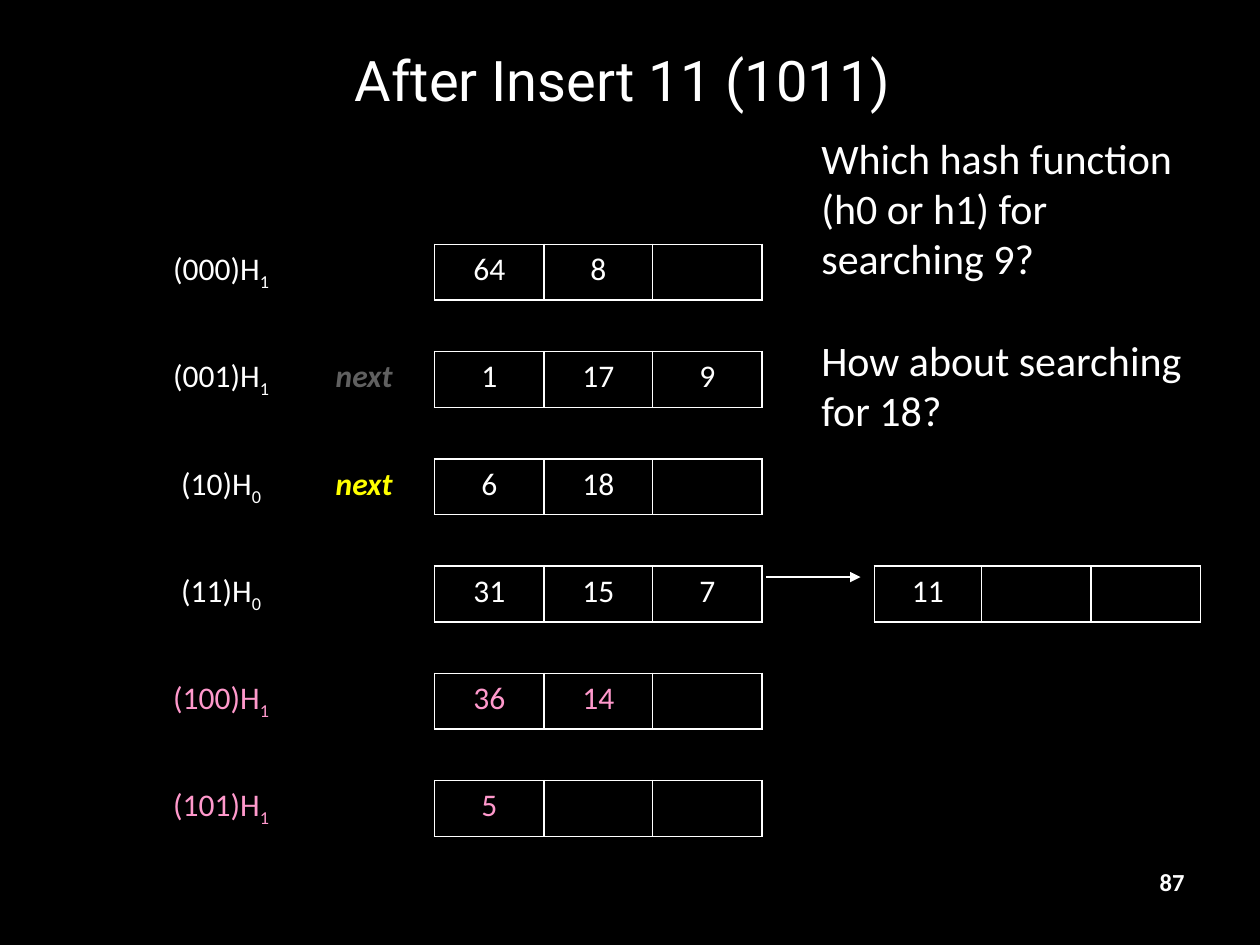
from dataclasses import dataclass

from lxml.etree import SubElement as Sub
from pptx import Presentation
from pptx.dml.color import RGBColor
from pptx.enum.shapes import MSO_CONNECTOR as Link
from pptx.enum.text import MSO_ANCHOR as Anchor, PP_ALIGN as Align
from pptx.oxml import parse_xml
from pptx.oxml.ns import nsdecls, qn
from pptx.slide import Slide
from pptx.table import Table, _Cell as Cell
from pptx.util import Inches, Pt

BLACK = RGBColor(0x00, 0x00, 0x00)
WHITE = RGBColor(0xFF, 0xFF, 0xFF)
GRAY = RGBColor(0x60, 0x60, 0x60)
YELLOW = RGBColor(0xFF, 0xFF, 0x00)
PINK = RGBColor(0xFF, 0x99, 0xCC)

PLAIN = "{2D5ABB26-0587-4C30-8999-92F81FD0307C}"
WIDTHS = (1.15, 1.12, 0.87, 0.86, 0.87, 0.89, 0.85, 0.87, 0.87)
SLOTS = 3
MAIN = 2
SPILL = 6


@dataclass
class Bucket:
    bits: str
    level: str
    keys: tuple[str, ...]
    color: RGBColor = WHITE
    mark: RGBColor | None = None
    spill: tuple[str, ...] = ()


BUCKETS = (
    Bucket("(000)H", "1", ("64", "8")),
    Bucket("(001)H", "1", ("1", "17", "9"), mark=GRAY),
    Bucket("(10)H", "0", ("6", "18"), mark=YELLOW),
    Bucket("(11)H", "0", ("31", "15", "7"), spill=("11",)),
    Bucket("(100)H", "1", ("36", "14"), PINK),
    Bucket("(101)H", "1", ("5",), PINK),
)


def add_text(slide: Slide, at: tuple[float, ...], lines: tuple[str, ...],
             size: int, face: str = "Calibri", align: Align = Align.LEFT,
             anchor: Anchor = Anchor.TOP, bold: bool = False,
             gap: float = 0) -> None:
    frame = slide.shapes.add_textbox(*map(Inches, at)).text_frame
    frame.word_wrap = True
    frame.vertical_anchor = anchor
    frame.text = "\n".join(lines)
    for i, para in enumerate(frame.paragraphs):
        para.alignment = align
        para.space_before = Pt(gap if i else 0)
        para.font.size = Pt(size)
        para.font.name = face
        para.font.bold = bold
        para.font.color.rgb = WHITE


def write(cell: Cell, text: str, color: RGBColor, sub: str = "",
          strong: bool = False) -> None:
    para = cell.text_frame.paragraphs[0]
    para.alignment = Align.CENTER
    font = para.font
    font.size, font.name = Pt(18), "Calibri"
    font.bold = font.italic = strong
    font.color.rgb = color
    para.add_run().text = text
    if sub:
        run = para.add_run()
        run.text = sub
        run._r.get_or_add_rPr().set("baseline", "-25000")


def frame_cell(cell: Cell) -> None:
    props = cell._tc.get_or_add_tcPr()
    for i, side in enumerate("LRTB"):
        props.insert(i, parse_xml(
            f'<a:ln{side} {nsdecls("a")} w="12700"><a:solidFill>'
            f'<a:srgbClr val="{WHITE}"/></a:solidFill></a:ln{side}>'))


def draw_slots(table: Table, row: int, col: int, keys: tuple[str, ...],
               color: RGBColor) -> None:
    for i in range(SLOTS):
        cell = table.cell(row, col + i)
        frame_cell(cell)
        if i < len(keys):
            write(cell, keys[i], color)


def add_grid(slide: Slide) -> None:
    count = 2 * len(BUCKETS) + 1
    table = slide.shapes.add_table(
        count, len(WIDTHS), Inches(1.18), Inches(1.5),
        Inches(sum(WIDTHS)), Inches(5.26)).table
    table.first_row = table.horz_banding = False
    table._tbl.tblPr.find(qn("a:tableStyleId")).text = PLAIN
    for col, width in zip(table.columns, WIDTHS):
        col.width = Inches(width)
    for i, row in enumerate(table.rows):
        row.height = Inches(0.44 if i % 2 or i == 0 else 0.41)
    for cell in table.iter_cells():
        cell.fill.background()
    for i, item in enumerate(BUCKETS):
        row = 2 * i + 1
        write(table.cell(row, 0), item.bits, item.color, item.level)
        if item.mark:
            write(table.cell(row, 1), "next", item.mark, strong=True)
        draw_slots(table, row, MAIN, item.keys, item.color)
        if item.spill:
            draw_slots(table, row, SPILL, item.spill, item.color)


def add_arrow(slide: Slide, left: float, right: float, top: float) -> None:
    arrow = slide.shapes.add_connector(
        Link.STRAIGHT, Inches(left), Inches(top), Inches(right), Inches(top))
    arrow.line.color.rgb = WHITE
    arrow.line.width = Pt(0.75)
    Sub(arrow.line._get_or_add_ln(), qn("a:tailEnd"), type="triangle")
    Sub(arrow._element.spPr, qn("a:effectLst"))


def main() -> None:
    deck = Presentation()
    deck.slide_width, deck.slide_height = Inches(10), Inches(7.5)
    slide = deck.slides.add_slide(deck.slide_layouts[6])
    back = slide.background.fill
    back.solid()
    back.fore_color.rgb = BLACK
    add_text(slide, (0.5, 0.17, 9, 0.92), ("After Insert 11 (1011) ",), 32,
             "Roboto", Align.CENTER, Anchor.MIDDLE)
    add_grid(slide)
    add_text(slide, (6.42, 1, 3.08, 3.13),
             ("Which hash function (h0 or h1) for searching 9?",
              "How about searching for 18?"), 24, gap=29)
    add_arrow(slide, 6.08, 6.83, 4.58)
    add_text(slide, (7.17, 6.83, 2.33, 0.52), ("87",), 14,
             align=Align.RIGHT, bold=True)
    deck.save("out.pptx")


if __name__ == "__main__":
    main()
